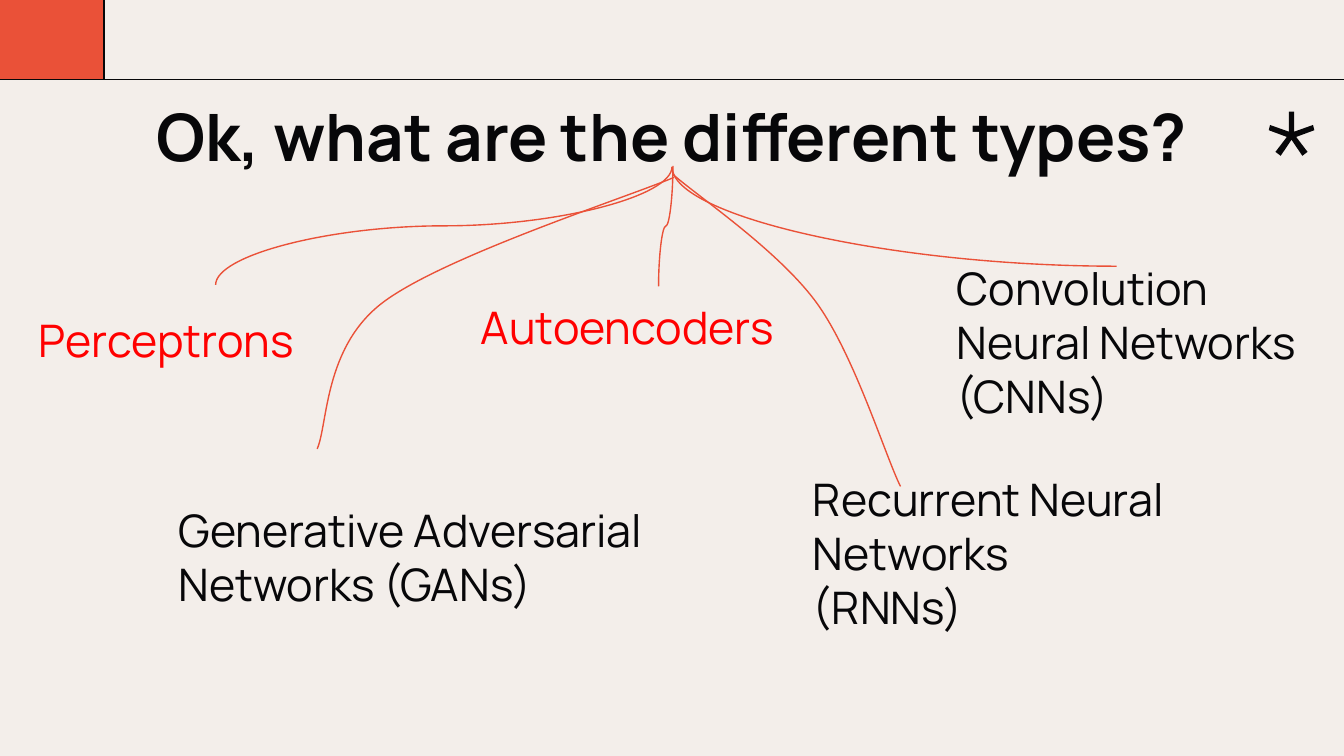
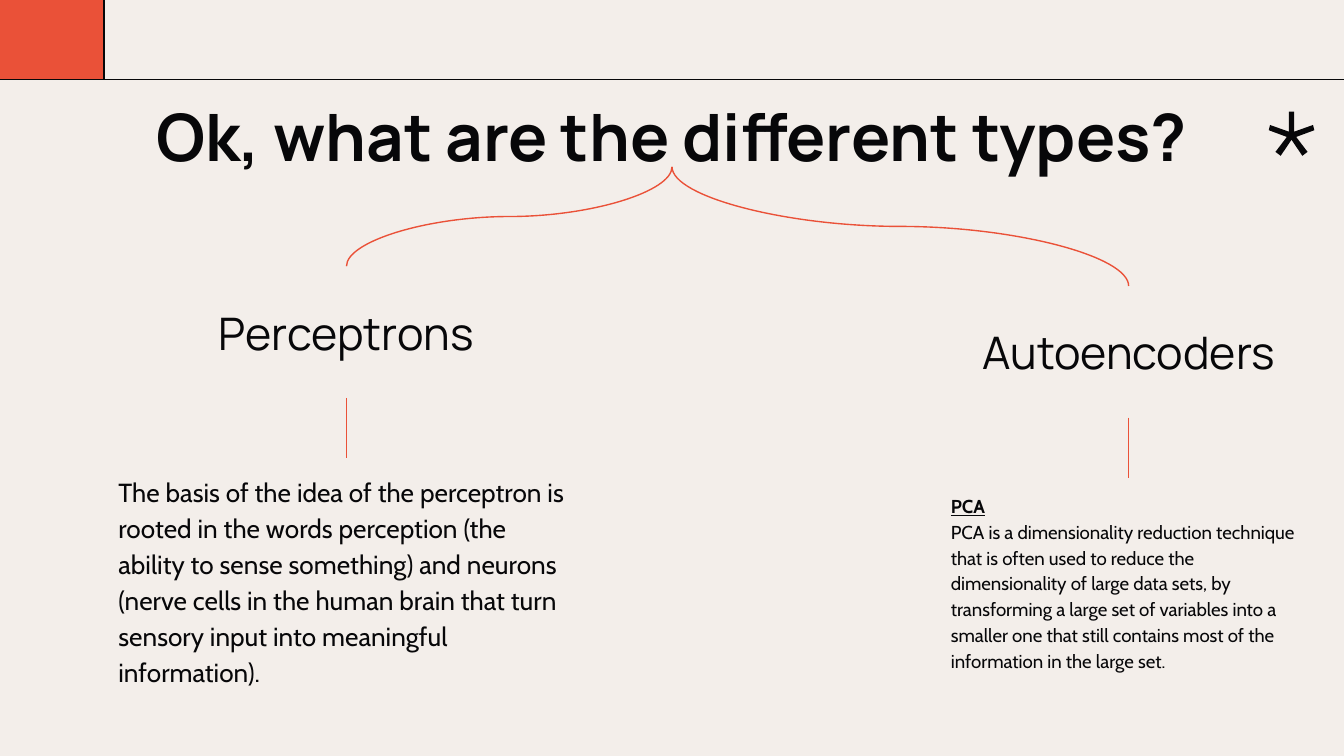
from lxml.etree import SubElement
from pptx import Presentation
from pptx.dml.color import RGBColor
from pptx.enum.shapes import MSO_CONNECTOR, MSO_SHAPE
from pptx.enum.text import MSO_ANCHOR, PP_ALIGN
from pptx.oxml.ns import qn
from pptx.util import Pt

PAPER = RGBColor(0xF3, 0xEE, 0xEA)
INK = RGBColor(0x07, 0x07, 0x09)
CORAL = RGBColor(0xEA, 0x51, 0x38)
RED = RGBColor(0xFF, 0x00, 0x00)

TITLE = {"name": "Manrope", "size": Pt(35), "bold": True}
HEAD = {"name": "Manrope", "size": Pt(24)}
BODY = {"name": "Cabin", "size": Pt(14)}
SMALL = {"name": "Cabin", "size": Pt(10)}
TERM = {**SMALL, "bold": True, "underline": True}

TOP, MID, LOW = MSO_ANCHOR.TOP, MSO_ANCHOR.MIDDLE, MSO_ANCHOR.BOTTOM
ROOT = (360, 89.4)
RULE = 42.5
STAR_X = 691.9
# Right half of the star, as offsets from its axis, top to bottom.
STAR = [(1.4, 59.8), (1.4, 70.6), (11.5, 67), (12.2, 69.8),
        (2.5, 73.4), (8.6, 81.4), (5.8, 83.5), (0, 74.9)]


def points(pairs):
    return [(Pt(x), Pt(y)) for x, y in pairs]


def add_text(slide, box, paras, anchor=TOP, color=INK, align=PP_ALIGN.LEFT, gap=1.0):
    """Add a text box; paras is a list of (words, font format) pairs."""
    shape = slide.shapes.add_textbox(*map(Pt, box))
    frame = shape.text_frame
    frame.word_wrap = True
    frame.vertical_anchor = anchor
    for side in ("left", "right", "top", "bottom"):
        setattr(frame, "margin_" + side, Pt(7.2))
    for i, (words, style) in enumerate(paras):
        para = frame.add_paragraph() if i else frame.paragraphs[0]
        para.alignment = align
        para.line_spacing = gap
        font = para.add_run().font
        para.runs[0].text = words
        for key, value in style.items():
            setattr(font, key, value)
        font.color.rgb = color
    return shape


def draw_line(shape, color):
    shape.line.color.rgb = color
    shape.line.width = Pt(0.75)


def add_link(slide, kind, start, end, color=CORAL):
    link = slide.shapes.add_connector(kind, *map(Pt, start + end))
    draw_line(link, color)
    SubElement(link._element.spPr, qn("a:effectLst"))
    return link


def add_branch(slide, start, end, preset="curvedConnector3"):
    """Add a curve that leaves start downwards, by turning a sideways one."""
    (x1, y1), (x2, y2) = start, end
    mid_x, mid_y = (x1 + x2) / 2, (y1 + y2) / 2
    wide, high = (y2 - y1) / 2, abs(x2 - x1) / 2
    right = x2 > x1
    if right:
        wide = -wide
    link = add_link(slide, MSO_CONNECTOR.CURVE, (mid_x - wide, mid_y - high),
                    (mid_x + wide, mid_y + high))
    props = link._element.spPr
    props.find(qn("a:xfrm")).set("rot", str((270 if right else 90) * 60000))
    props.find(qn("a:prstGeom")).set("prst", preset)


def add_bend(slide, start, *rest):
    """Add an open outline of cubic curves, three points to a curve."""
    pen = slide.shapes.build_freeform(Pt(start[0]), Pt(start[1]))
    pen.add_line_segments(points(rest), close=False)
    shape = pen.convert_to_shape()
    shape.fill.background()
    shape.shadow.inherit = False
    draw_line(shape, CORAL)
    steps = list(shape._element.iter(qn("a:lnTo")))
    for i in range(0, len(steps), 3):
        cubic = SubElement(steps[i].getparent(), qn("a:cubicBezTo"))
        for step in steps[i:i + 3]:
            cubic.append(step[0])
            step.getparent().remove(step)


def add_star(slide):
    right = [(STAR_X + x, y) for x, y in STAR]
    left = [(STAR_X - x, y) for x, y in STAR[-2::-1]]
    first, *rest = points(right + left)
    pen = slide.shapes.build_freeform(*first)
    pen.add_line_segments(rest)
    star = pen.convert_to_shape()
    star.fill.solid()
    star.fill.fore_color.rgb = INK
    star.line.fill.background()
    star.shadow.inherit = False


def add_page(deck):
    """Add a slide with the band, star and title that all slides share."""
    slide = deck.slides.add_slide(deck.slide_layouts[6])
    add_link(slide, MSO_CONNECTOR.STRAIGHT, (0, RULE), (722, RULE), INK)
    size = 56.8
    block = slide.shapes.add_shape(
        MSO_SHAPE.RECTANGLE, *map(Pt, (-1.1, RULE - size, size, size)))
    block.fill.solid()
    block.fill.fore_color.rgb = CORAL
    block.shadow.inherit = False
    draw_line(block, INK)
    add_star(slide)
    add_text(slide, (56.2, 44.4, 607.6, 45),
             [("Ok, what are the different types?", TITLE)], align=PP_ALIGN.CENTER)
    return slide


def add_map(deck):
    slide = add_page(deck)
    wide, high = 204.5, 70.6
    for box, lines, anchor, color in [
        ((13.7, 152.6, wide, 51), ["Perceptrons"], LOW, RED),
        ((250.6, 153.4, wide, high), ["Autoencoders"], TOP, RED),
        ((505.4, 162.7, wide, high),
         ["Convolution Neural Networks", "(CNNs)"], LOW, INK),
        ((428.4, 275.8, wide, high),
         ["Recurrent Neural Networks", "(RNNs)"], LOW, INK),
        ((88.6, 263.5, 263.5, high),
         ["Generative Adversarial Networks (GANs)"], LOW, INK),
    ]:
        add_text(slide, box, [(line, HEAD) for line in lines], anchor, color)
    add_branch(slide, ROOT, (598.2, 142.6), "curvedConnector2")
    add_branch(slide, (360.5, 88.8), (352.8, 153.4))
    add_branch(slide, ROOT, (115.5, 152.6))
    add_bend(slide, (361.2, 95), (335.5, 105.8), (237.6, 137.5), (205.2, 162),
             (173.5, 185.8), (175.7, 227.5), (169.9, 240.5))
    add_bend(slide, (360.7, 93.6), (373.7, 105.1), (417.6, 134.6), (437.8, 162.7),
             (457.9, 190.8), (474.5, 244.8), (482.4, 260.6))


def add_detail(deck):
    slide = add_page(deck)
    basis = ("The basis of the idea of the perceptron is rooted in the words "
             "perception (the ability to sense something) and neurons (nerve cells "
             "in the human brain that turn sensory input into meaningful information).")
    method = ("PCA is a dimensionality reduction technique that is often used to "
              "reduce the dimensionality of large data sets, by transforming a large "
              "set of variables into a smaller one that still contains most of the "
              "information in the large set.")
    wide, high = 204.5, 70.6
    for name, mid, top, paras, span, depth in [
        ("Perceptrons", 185.6, 142.6, [(basis, BODY)], 258.5, 139),
        ("Autoencoders", 604.6, 153.2, [("PCA", TERM), (method, SMALL)], wide, 106.5),
    ]:
        low = top + high + 32.4
        head = add_text(slide, (mid - wide / 2, top, wide, high), [(name, HEAD)],
                        MID, align=PP_ALIGN.CENTER)
        note = add_text(slide, (mid - span / 2, low, span, depth), paras, gap=1.15)
        add_branch(slide, ROOT, (mid, top))
        stem = add_link(slide, MSO_CONNECTOR.STRAIGHT, (mid, top + high), (mid, low))
        stem.begin_connect(head, 2)
        stem.end_connect(note, 0)


def main():
    deck = Presentation()
    deck.slide_width, deck.slide_height = Pt(720), Pt(405)
    fill = deck.slide_master.background.fill
    fill.solid()
    fill.fore_color.rgb = PAPER
    add_map(deck)
    add_detail(deck)
    deck.save("out.pptx")


if __name__ == "__main__":
    main()
